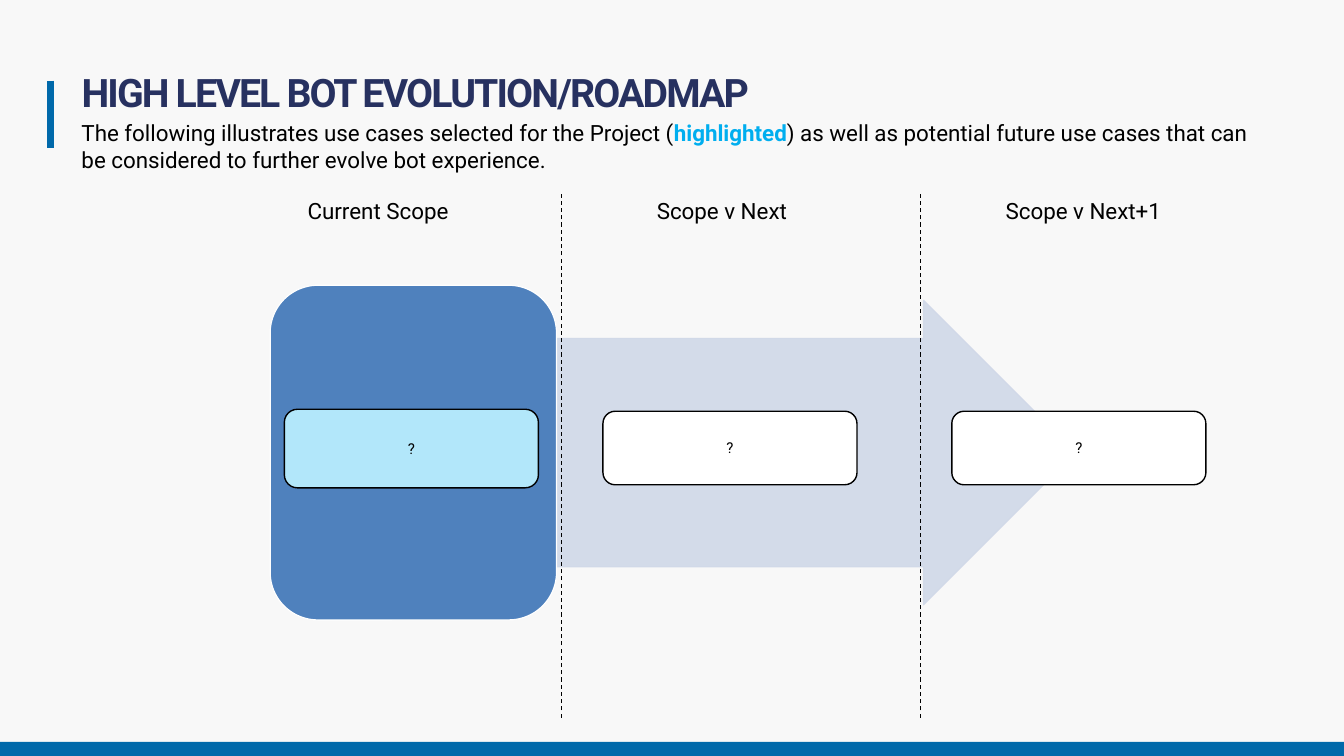
from lxml.etree import SubElement
from pptx import Presentation
from pptx.dml.color import RGBColor
from pptx.enum.dml import MSO_LINE
from pptx.enum.shapes import MSO_CONNECTOR, MSO_SHAPE
from pptx.enum.text import MSO_ANCHOR, MSO_AUTO_SIZE, PP_ALIGN
from pptx.oxml.ns import qn
from pptx.util import Inches, Pt

COLORS = {
    "background": "F8F8F8",
    "navy": "273160",
    "blue": "0069AA",
    "highlight": "00AEEF",
    "panel": "4F81BD",
    "arrow": "D0D8E8",
    "current": "B2E7FA",
    "white": "FFFFFF",
    "black": "000000",
}


def color(name):
    return RGBColor.from_string(COLORS[name])


def add_text(paragraph, text, size=16, fill="black", bold=False, align=PP_ALIGN.LEFT):
    paragraph.alignment = align
    run = paragraph.add_run()
    run.text = text
    run.font.name = "Roboto"
    run.font.size = Pt(size)
    run.font.bold = bold
    run.font.color.rgb = color(fill)
    return run


presentation = Presentation()
presentation.slide_width = Inches(13.33)
presentation.slide_height = Inches(7.5)
slide = presentation.slides.add_slide(presentation.slide_layouts[5])
slide.background.fill.solid()
slide.background.fill.fore_color.rgb = color("background")
shapes = slide.shapes

# Title
title = shapes.title
title.left, title.top = Inches(0.71), Inches(0.73)
title.width, title.height = Inches(8.42), Inches(0.47)
title.text_frame.auto_size = MSO_AUTO_SIZE.SHAPE_TO_FIT_TEXT
title.text_frame.vertical_anchor = MSO_ANCHOR.TOP
paragraph = title.text_frame.paragraphs[0]
paragraph.line_spacing = Pt(26)
run = add_text(paragraph, "HIGH LEVEL BOT EVOLUTION/ROADMAP", size=28, fill="navy", bold=True)
run.font._element.set("spc", "-130")

# Introduction
introduction = shapes.add_textbox(Inches(0.71), Inches(1.13), Inches(11.98), Inches(0.68))
introduction.text_frame.word_wrap = True
paragraph = introduction.text_frame.paragraphs[0]
add_text(paragraph, "The following illustrates use cases selected for the Project (")
add_text(paragraph, "highlighted", fill="highlight", bold=True)
add_text(paragraph, ") as well as potential future use cases that can be considered "
                    "to further evolve bot experience.")

# Footer bar, roadmap arrow and current scope panel
for kind, left, top, width, height, fill, outline in [
    (MSO_SHAPE.RECTANGLE, 0, 7.36, 13.33, 0.14, "blue", None),
    (MSO_SHAPE.RIGHT_ARROW, 5.52, 2.98, 5.15, 3.02, "arrow", "arrow"),
    (MSO_SHAPE.ROUNDED_RECTANGLE, 2.68, 2.83, 2.84, 3.32, "panel", "white"),
]:
    shape = shapes.add_shape(kind, Inches(left), Inches(top), Inches(width), Inches(height))
    shape.shadow.inherit = False
    shape.fill.solid()
    shape.fill.fore_color.rgb = color(fill)
    if outline:
        shape.line.color.rgb = color(outline)
        shape.line.width = Pt(0.85)
    else:
        shape.line.fill.background()
    if kind == MSO_SHAPE.RIGHT_ARROW:
        shape.adjustments[0] = 0.75
        shape.adjustments[1] = 0.5
        for tint in shape._element.spPr.iter(qn("a:srgbClr")):
            SubElement(tint, qn("a:alpha"), val="90000")

# Title accent and dashed column dividers
for x, start, end, stroke, width, dash in [
    (0.5, 0.8, 1.47, "blue", 4.5, None),
    (5.57, 7.12, 1.91, "black", 0.75, MSO_LINE.DASH),
    (9.13, 7.12, 1.91, "black", 0.75, MSO_LINE.DASH),
]:
    line = shapes.add_connector(MSO_CONNECTOR.STRAIGHT, Inches(x), Inches(start), Inches(x), Inches(end))
    line.line.color.rgb = color(stroke)
    line.line.width = Pt(width)
    if dash:
        line.line.dash_style = dash
    SubElement(line._element.spPr, qn("a:effectLst"))

# Scope columns: heading and use case box
for heading, heading_left, heading_width, box_left, box_top, box_height, fill in [
    ("Current Scope", 2.95, 1.6, 2.82, 4.06, 0.78, "current"),
    ("Scope v Next", 6.41, 1.5, 5.98, 4.08, 0.73, "white"),
    ("Scope v Next+1", 9.86, 1.77, 9.44, 4.08, 0.73, "white"),
]:
    box = shapes.add_shape(MSO_SHAPE.ROUNDED_RECTANGLE, Inches(box_left), Inches(box_top),
                           Inches(2.52), Inches(box_height))
    box.shadow.inherit = False
    box.fill.solid()
    box.fill.fore_color.rgb = color(fill)
    box.line.color.rgb = color("black")
    box.line.width = Pt(1)
    box.text_frame.vertical_anchor = MSO_ANCHOR.MIDDLE
    add_text(box.text_frame.paragraphs[0], "?", size=10.7, align=PP_ALIGN.CENTER)

    label = shapes.add_textbox(Inches(heading_left), Inches(1.91), Inches(heading_width), Inches(0.37))
    label.text_frame.word_wrap = False
    label.text_frame.auto_size = MSO_AUTO_SIZE.SHAPE_TO_FIT_TEXT
    add_text(label.text_frame.paragraphs[0], heading, align=PP_ALIGN.CENTER)

presentation.save("out.pptx")
